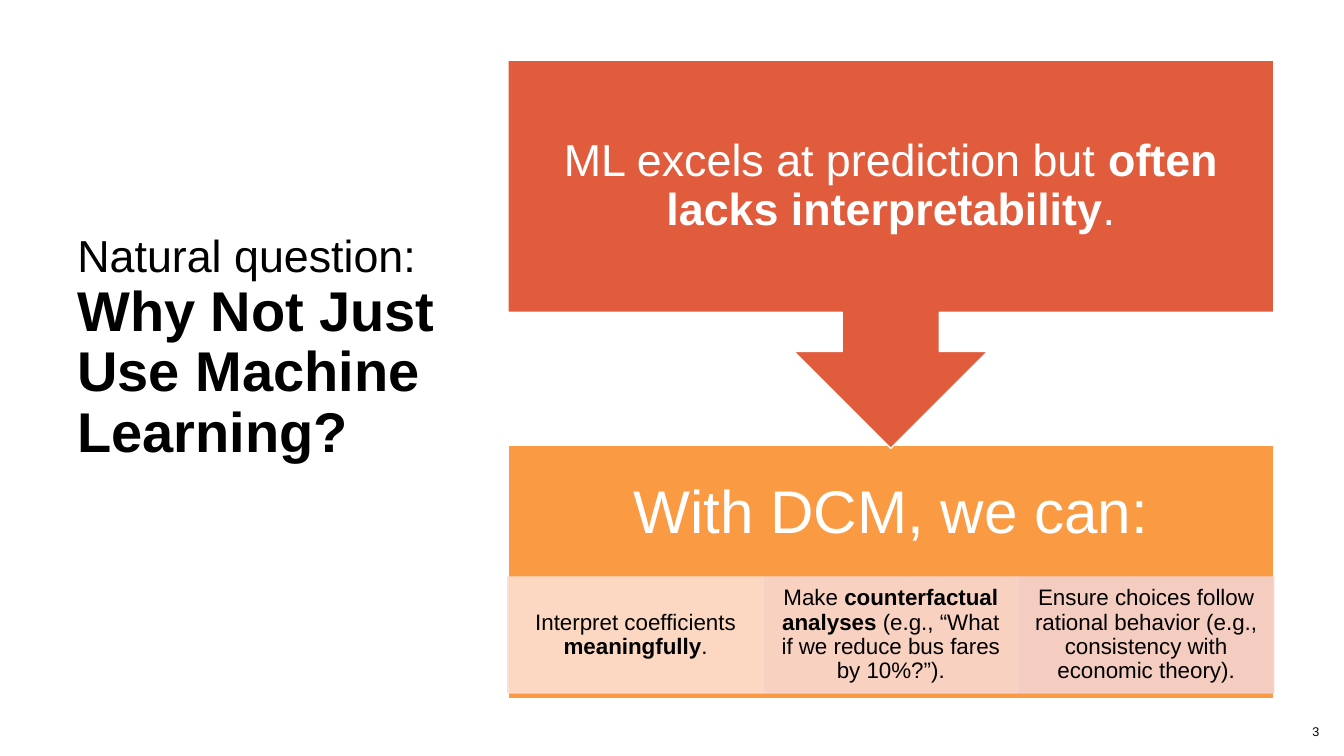
from pptx import Presentation
from pptx.dml.color import RGBColor
from pptx.enum import shapes, text
from pptx.oxml.ns import qn
from pptx.util import Cm, Pt
from lxml import etree

COLORS = {"ink": "000000", "paper": "FFFFFF", "claim": "E15C3D", "answer": "FA9A42"}
BENEFITS = [
    ("FDDECF", [("Interpret coefficients ", False), ("meaningfully", True), (".", False)]),
    ("F9D7CE", [("Make ", False), ("counterfactual analyses", True),
                (" (e.g., “What if we reduce bus fares by 10%?”).", False)]),
    ("F4D2CE", [("Ensure choices follow rational behavior (e.g., "
                 "consistency with economic theory).", False)]),
]


def add_run(paragraph, words, size, color, bold=False):
    run = paragraph.add_run()
    run.text = words
    for name, value in {"name": "Arial", "size": Pt(size), "bold": bold}.items():
        setattr(run.font, name, value)
    run.font.color.rgb = RGBColor.from_string(color)


def set_frame(frame, insets, align, spacing=0.9):
    """Format a text frame; insets are left, top, right, bottom in cm."""
    left, top, right, bottom = (Cm(inset) for inset in insets)
    layout = {"word_wrap": True, "vertical_anchor": text.MSO_ANCHOR.MIDDLE,
              "margin_left": left, "margin_top": top,
              "margin_right": right, "margin_bottom": bottom}
    for name, value in layout.items():
        setattr(frame, name, value)
    paragraph = frame.paragraphs[0]
    paragraph.alignment = align
    paragraph.line_spacing = spacing
    return paragraph


def add_panel(slide, kind, box, fill, line, insets, opacity=100):
    """Draw a filled shape and return it with its centred paragraph."""
    panel = slide.shapes.add_shape(kind, *(Cm(length) for length in box))
    panel.shadow.inherit = False
    panel.fill.solid()
    panel.fill.fore_color.rgb = RGBColor.from_string(fill)
    panel.line.color.rgb = RGBColor.from_string(line)
    panel.line.width = Pt(1)
    if opacity < 100:
        for color in panel._element.spPr.iter(qn("a:srgbClr")):
            etree.SubElement(color, qn("a:alpha")).set("val", str(opacity * 1000))
    return set_frame(panel.text_frame, insets, text.PP_ALIGN.CENTER)


def add_question(slide, box):
    title = slide.shapes.add_textbox(*(Cm(length) for length in box))
    question = set_frame(title.text_frame, (0.25, 0.13, 0.25, 1.65), text.PP_ALIGN.LEFT)
    add_run(question, "Natural question: ", 32, COLORS["ink"])
    question.add_line_break()
    add_run(question, "Why Not Just Use Machine Learning?", 40, COLORS["ink"], True)


def add_claim(slide, box):
    claim = add_panel(slide, shapes.MSO_SHAPE.DOWN_ARROW_CALLOUT, box,
                      COLORS["claim"], COLORS["paper"], (0.64,) * 4)
    for words, bold in [("ML excels at prediction but ", False),
                        ("often lacks interpretability", True), (".", False)]:
        add_run(claim, words, 32, COLORS["paper"], bold)


def add_answer(slide, box):
    left, top, width, height = box
    heading_height, benefit_top, benefit_height = 3.43, 3.31, 2.92

    # Heading, centred in the upper part of the panel
    heading = add_panel(slide, shapes.MSO_SHAPE.RECTANGLE, box, COLORS["answer"],
                        COLORS["paper"], (0.84, 0.84, 0.84, height - heading_height + 0.84))
    add_run(heading, "With DCM, we can:", 43, COLORS["paper"])

    # Benefits in equal columns
    column = width / len(BENEFITS)
    for index, (tint, runs) in enumerate(BENEFITS):
        cell = (left + index * column, top + benefit_top, column, benefit_height)
        benefit = add_panel(slide, shapes.MSO_SHAPE.RECTANGLE, cell, tint, tint,
                            (0.3, 0.05, 0.3, 0.05), opacity=90)
        for words, bold in runs:
            add_run(benefit, words, 16, COLORS["ink"], bold)


def add_page_number(slide, box):
    number = slide.shapes.add_textbox(*(Cm(length) for length in box))
    paragraph = set_frame(number.text_frame, (0.25, 0.13, 0.25, 0.13),
                          text.PP_ALIGN.RIGHT, 1.0)
    add_run(paragraph, "3", 9, COLORS["ink"])


def main():
    deck = Presentation()
    deck.slide_width, deck.slide_height = Cm(33.87), Cm(19.05)
    slide = deck.slides.add_slide(deck.slide_layouts[6])
    add_question(slide, (1.7, 1.52, 9.7, 16.08))
    add_answer(slide, (12.8, 11.23, 19.3, 6.38))
    add_claim(slide, (12.8, 1.52, 19.3, 9.78))
    add_page_number(slide, (32.31, 17.93, 1.19, 1.02))
    deck.save("out.pptx")


if __name__ == "__main__":
    main()
